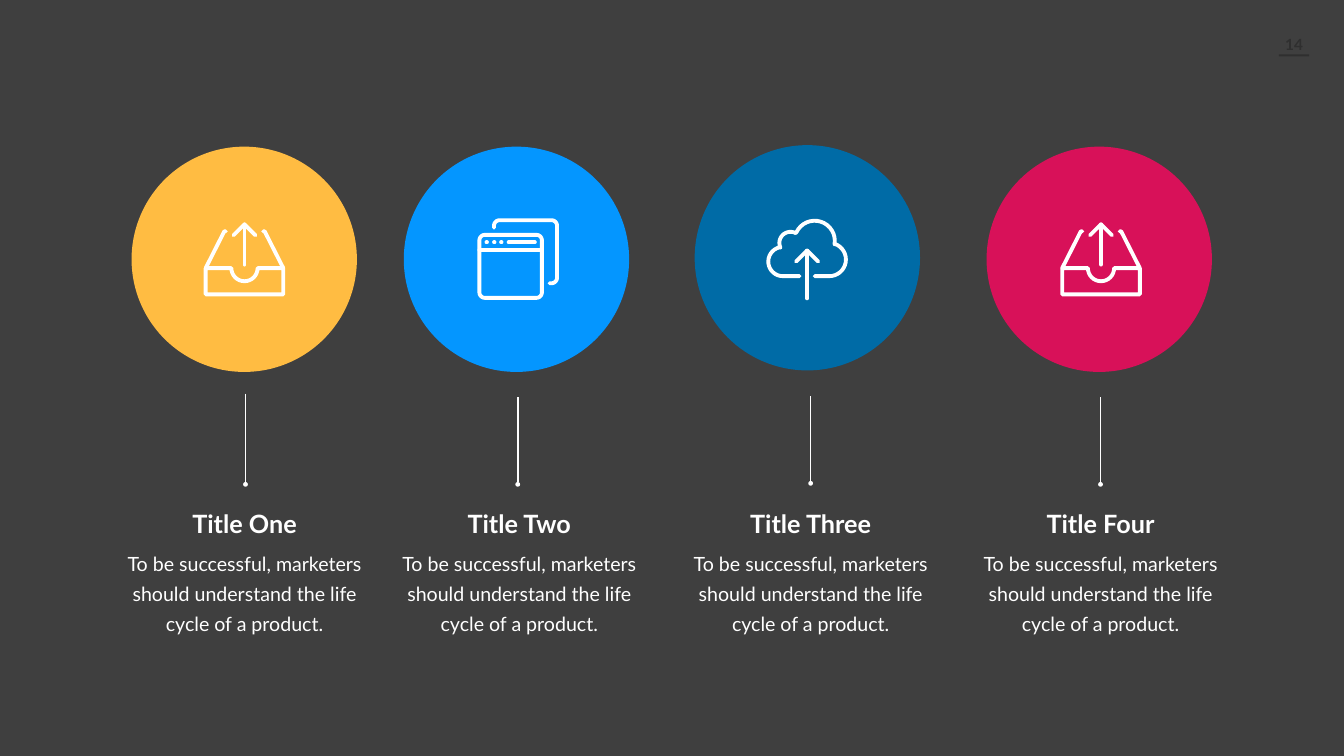
"""Build a slide of four coloured circles with icons, stems and captions."""
import math

from lxml import etree
from pptx import Presentation
from pptx.dml.color import RGBColor
from pptx.enum.shapes import MSO_CONNECTOR, MSO_SHAPE
from pptx.enum.text import MSO_ANCHOR, MSO_AUTO_SIZE, PP_ALIGN
from pptx.oxml.ns import qn
from pptx.util import Inches, Pt

STRAIGHT = MSO_CONNECTOR.STRAIGHT
ELLIPSE, RECTANGLE = MSO_SHAPE.OVAL, MSO_SHAPE.RECTANGLE
CENTER, MIDDLE, TOP = PP_ALIGN.CENTER, MSO_ANCHOR.MIDDLE, MSO_ANCHOR.TOP
GROW, FIXED = MSO_AUTO_SIZE.SHAPE_TO_FIT_TEXT, MSO_AUTO_SIZE.NONE

WIDTH, HEIGHT = 26.66, 15
FONT = "Lato"
COLORS = {
    "background": "3F3F3F", "white": "FFFFFF", "dark": "2F2F2F",
    "yellow": "FFBC42", "blue": "0496FF", "navy": "006BA6", "red": "D81159",
}
DIAMETER, TEXT_WIDTH = 4.47, 4.88
TITLE_TOP, TITLE_HEIGHT = 10.04, 0.7
BODY_TOP, BODY_HEIGHT = 10.77, 1.89
STROKE = 5.5
PAGE_NUMBER = "14"
BODY = "To be successful, marketers should understand the life cycle of a product."

COLUMNS = [
    {"title": "Title One", "color": "yellow", "icon": "tray", "icon_at": (4.04, 4.41),
     "circle": (2.61, 2.91), "stem": (4.87, 7.81, 9.61), "text_left": 2.41},
    {"title": "Title Two", "color": "blue", "icon": "window", "icon_at": (9.47, 4.33),
     "circle": (8.01, 2.91), "stem": (10.27, 7.88, 9.61), "text_left": 7.86},
    {"title": "Title Three", "color": "navy", "icon": "cloud", "icon_at": (15.2, 4.34),
     "circle": (13.78, 2.88), "stem": (16.08, 7.86, 9.59), "text_left": 13.64},
    {"title": "Title Four", "color": "red", "icon": "tray", "icon_at": (21.03, 4.41),
     "circle": (19.57, 2.91), "stem": (21.83, 7.88, 9.61), "text_left": 19.39},
]


def arc(x, y, radius, start, end, steps=16):
    """Return points on an arc, with angles in degrees clockwise from the right."""
    angles = [math.radians(start + (end - start) * i / steps) for i in range(steps + 1)]
    return [(x + radius * math.cos(a), y + radius * math.sin(a)) for a in angles]


def up_arrow(tip, foot):
    """Return the shaft and head strokes of an upward arrow."""
    x, wing = 0.81, 0.22
    return [[(x, foot), (x, tip)],
            [(x - wing, tip + wing), (x, tip), (x + wing, tip + wing)]]


ICONS = {
    "tray": [
        [(0.04, 0.91), *arc(0.81, 0.91, 0.26, 180, 0), (1.58, 0.91),
         (1.58, 1.43), (0.04, 1.43), (0.04, 0.91)],
        [(0.04, 0.91), (0.41, 0.18), (0.44, 0.18)],
        [(1.58, 0.91), (1.21, 0.18), (1.18, 0.18)],
        *up_arrow(0.04, 0.84),
    ],
    "window": [
        [*arc(0.15, 0.44, 0.11, 180, 270), *arc(1.17, 0.44, 0.11, 270, 360),
         *arc(1.17, 1.47, 0.11, 0, 90), *arc(0.15, 1.47, 0.11, 90, 180), (0.04, 0.44)],
        [(0.04, 0.63), (1.28, 0.63)],
        [(0.62, 0.48), (1.14, 0.48)],
        *[[(x, 0.48), (x + 0.01, 0.48)] for x in (0.18, 0.33, 0.47)],
        [(0.33, 0.19), *arc(0.44, 0.15, 0.11, 180, 270), *arc(1.47, 0.15, 0.11, 270, 360),
         *arc(1.47, 1.18, 0.11, 0, 90), (1.43, 1.29)],
    ],
    "cloud": [
        [(0.66, 1.14), *arc(0.33, 0.85, 0.29, 90, 255), *arc(0.48, 0.48, 0.22, 155, 298),
         *arc(0.96, 0.44, 0.4, 205, 370), *arc(1.25, 0.81, 0.33, -70, 90), (0.96, 1.14)],
        *up_arrow(0.63, 1.58),
    ],
}


def rgb(name):
    """Return a named colour."""
    return RGBColor.from_string(COLORS[name])


def add_text(slide, text, *, left, top, width, height, size, color="white",
             bold=False, spacing=None, anchor=TOP, fit=GROW):
    """Add a centred text box."""
    box = slide.shapes.add_textbox(*map(Inches, (left, top, width, height)))
    frame = box.text_frame
    frame.word_wrap, frame.auto_size, frame.vertical_anchor = True, fit, anchor
    paragraph = frame.paragraphs[0]
    paragraph.alignment = CENTER
    if spacing:
        paragraph.line_spacing = Pt(spacing)
    run = paragraph.add_run()
    run.text = text
    run.font.name, run.font.size, run.font.bold = FONT, Pt(size), bold
    run.font.color.rgb = rgb(color)


def add_filled(slide, kind, left, top, width, height, color):
    """Add a plain filled preset shape."""
    shape = slide.shapes.add_shape(kind, *map(Inches, (left, top, width, height)))
    shape.shadow.inherit = False
    shape.fill.solid()
    shape.fill.fore_color.rgb = rgb(color)
    shape.line.fill.background()


def add_stem(slide, x, top, bottom):
    """Add a vertical line that ends in a dot."""
    stem = slide.shapes.add_connector(STRAIGHT, *map(Inches, (x, top, x, bottom)))
    stem.line.color.rgb, stem.line.width = rgb("white"), Pt(2.25)
    properties = stem._element.spPr
    etree.SubElement(properties.find(qn("a:ln")), qn("a:tailEnd"), type="oval")
    etree.SubElement(properties, qn("a:effectLst"))


def add_icon(slide, strokes, left, top):
    """Draw an icon as one outline made of round-ended strokes."""
    paths = [[(Inches(x), Inches(y)) for x, y in stroke] for stroke in strokes]
    builder = slide.shapes.build_freeform(*paths[0][0])
    for index, (start, *rest) in enumerate(paths):
        if index:
            builder.move_to(*start)
        builder.add_line_segments(rest, close=False)
    icon = builder.convert_to_shape(Inches(left), Inches(top))
    icon.shadow.inherit = False
    icon.fill.background()
    icon.line.color.rgb, icon.line.width = rgb("white"), Pt(STROKE)
    outline = icon._element.spPr.find(qn("a:ln"))
    outline.set("cap", "rnd")
    etree.SubElement(outline, qn("a:round"))


def main():
    """Create and save the slide."""
    presentation = Presentation()
    presentation.slide_width, presentation.slide_height = Inches(WIDTH), Inches(HEIGHT)
    slide = presentation.slides.add_slide(presentation.slide_layouts[6])
    slide.background.fill.solid()
    slide.background.fill.fore_color.rgb = rgb("background")

    add_filled(slide, RECTANGLE, 25.37, 1.08, 0.6, 0.04, "dark")
    add_text(slide, PAGE_NUMBER, left=25.17, top=0.6, width=1, height=0.56, size=22,
             color="dark", bold=True, anchor=MIDDLE, fit=FIXED)
    for column in COLUMNS:
        add_stem(slide, *column["stem"])
        add_filled(slide, ELLIPSE, *column["circle"], DIAMETER, DIAMETER, column["color"])
        add_icon(slide, ICONS[column["icon"]], *column["icon_at"])
        place = {"left": column["text_left"], "width": TEXT_WIDTH}
        add_text(slide, column["title"], top=TITLE_TOP, height=TITLE_HEIGHT,
                 size=36, bold=True, **place)
        add_text(slide, BODY, top=BODY_TOP, height=BODY_HEIGHT, size=28, spacing=43, **place)
    presentation.save("out.pptx")


if __name__ == "__main__":
    main()
